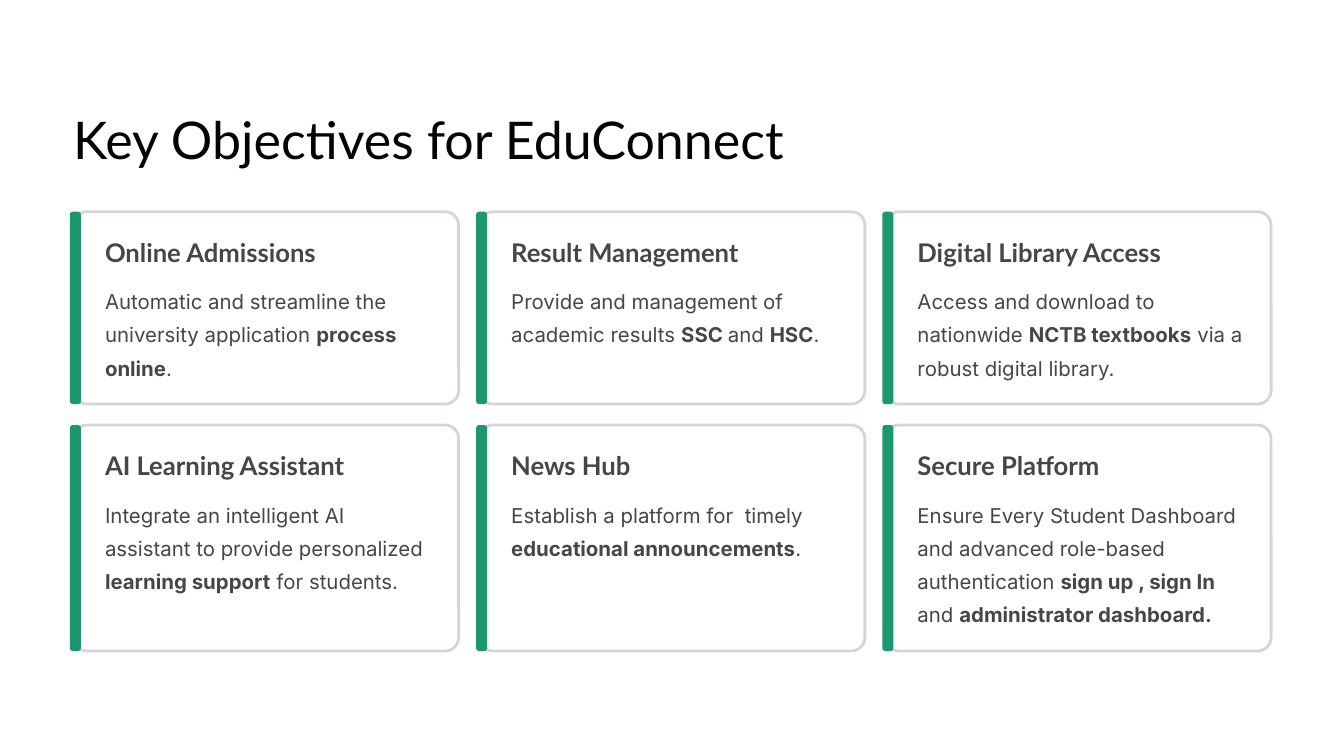
from dataclasses import dataclass

from pptx import Presentation
from pptx.dml.color import RGBColor
from pptx.enum.shapes import MSO_SHAPE
from pptx.enum.text import MSO_ANCHOR, MSO_AUTO_SIZE
from pptx.util import Pt

# Grid of cards, in points
LEFT, STEP, WIDE = 62.64, 348.2, 330.5
RADIUS = 11.6
LEAD = 28.5

# Text formats
TITLE = {"name": "Lato", "size": Pt(44.5), "bold": False}
HEAD = {"name": "Lato", "size": Pt(22), "bold": True}
BODY = {"name": "Inter", "size": Pt(17.5), "bold": False}
FRAME = {"margin_left": 0, "margin_top": 0, "margin_right": 0, "margin_bottom": 0,
         "vertical_anchor": MSO_ANCHOR.TOP, "auto_size": MSO_AUTO_SIZE.NONE}
INK, GREY, GREEN, WHITE, EDGE = "030303", "464646", "1C9770", "FFFFFF", "D8D4D4"


@dataclass
class Card:
    head: str
    body: str  # parts between asterisks are bold
    lines: int


@dataclass
class Row:
    top: float
    high: float
    cards: list[Card]


ROWS = [
    Row(181.44, 164.9, [
        Card("Online Admissions",
             "Automatic and streamline the university application *process online*.", 3),
        Card("Result Management",
             "Provide and management of academic results *SSC *and *HSC*.", 2),
        Card("Digital Library Access",
             "Access and download to nationwide *NCTB textbooks* via a robust digital library.", 3),
    ]),
    Row(364.32, 193.7, [
        Card("AI Learning Assistant",
             "Integrate an intelligent AI assistant to provide personalized "
             "*learning support* for students.", 3),
        Card("News Hub",
             "Establish a platform for  timely *educational announcements*.", 2),
        Card("Secure Platform",
             "Ensure Every Student Dashboard and advanced role-based authentication "
             "*sign up , sign In *and *administrator dashboard.*", 4),
    ]),
]


def color(code: str) -> RGBColor:
    return RGBColor.from_string(code)


def apply(target: object, values: dict) -> None:
    for key, value in values.items():
        setattr(target, key, value)


def write(slide, x: float, y: float, w: float, h: float, text: str,
          style: dict, ink: str, lead: float, wrap: bool = False) -> None:
    box = slide.shapes.add_textbox(Pt(x), Pt(y), Pt(w), Pt(h))
    apply(box.text_frame, FRAME | {"word_wrap": wrap})
    para = box.text_frame.paragraphs[0]
    para.line_spacing = Pt(lead)
    for i, part in enumerate(text.split("*")):
        if part:
            run = para.add_run()
            run.text = part
            apply(run.font, style | {"bold": style["bold"] or i % 2 == 1})
            run.font.color.rgb = color(ink)


def panel(slide, x: float, y: float, w: float, h: float,
          round_by: float, fill: str, edge: str | None = None) -> None:
    shape = slide.shapes.add_shape(MSO_SHAPE.ROUNDED_RECTANGLE, Pt(x), Pt(y), Pt(w), Pt(h))
    shape.adjustments[0] = round_by / min(w, h)
    shape.shadow.inherit = False
    shape.fill.solid()
    shape.fill.fore_color.rgb = color(fill)
    if edge:
        shape.line.color.rgb = color(edge)
        shape.line.width = Pt(2.4)
    else:
        shape.line.fill.background()


def draw(slide, card: Card, x: float, y: float, h: float) -> None:
    panel(slide, x, y, WIDE, h, RADIUS, WHITE, EDGE)
    panel(slide, x - 2.7, y, 9.4, h, 2.6, GREEN)
    write(slide, x + 27.4, y + 20.2, 230, 28, card.head, HEAD, GREY, 27.5)
    write(slide, x + 27.4, y + 59, 283, card.lines * LEAD, card.body, BODY, GREY, LEAD, True)


def main() -> None:
    deck = Presentation()
    apply(deck, {"slide_width": Pt(1152), "slide_height": Pt(648)})
    slide = deck.slides.add_slide(deck.slide_layouts[6])
    slide.background.fill.solid()
    slide.background.fill.fore_color.rgb = color(WHITE)

    # Title
    write(slide, LEFT, 90, 669.6, 56.2, "Key Objectives for EduConnect", TITLE, INK, 55.5)

    # Objective cards
    for row in ROWS:
        for col, card in enumerate(row.cards):
            draw(slide, card, LEFT + col * STEP, row.top, row.high)

    deck.save("out.pptx")


if __name__ == "__main__":
    main()
